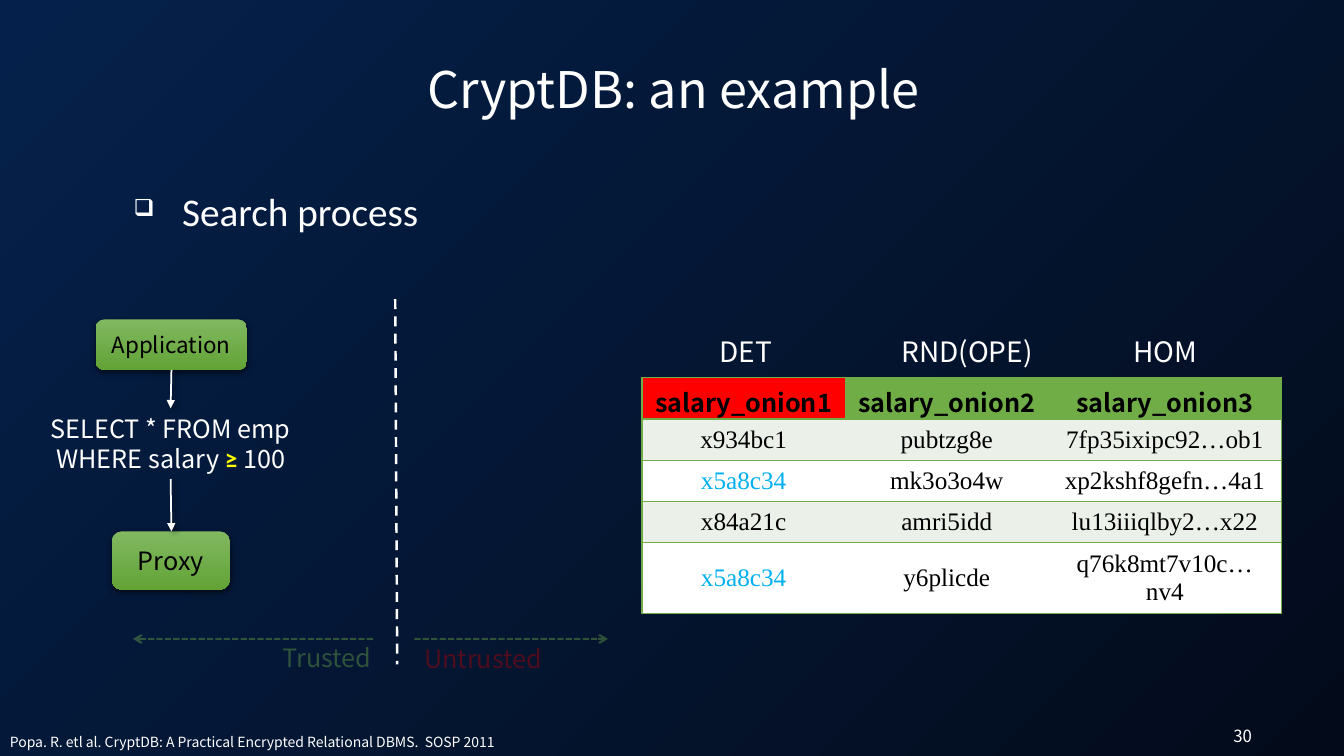
from lxml import etree
from pptx import Presentation
from pptx.dml.color import RGBColor
from pptx.enum.dml import MSO_LINE_DASH_STYLE as DASH
from pptx.enum.shapes import MSO_CONNECTOR_TYPE as CONNECTOR, MSO_SHAPE as SHAPE
from pptx.enum.text import MSO_ANCHOR as ANCHOR, PP_ALIGN as ALIGN
from pptx.oxml.ns import qn
from pptx.util import Cm, Pt

WHITE, BLACK, GREEN, RED, DARK_RED = "FFFFFF", "000000", "70AD47", "FF0000", "C00000"
CYAN, YELLOW, PALE = "00B0F0", "FFFF00", "EBF1E9"
SANS, SERIF, CALIBRI = "Noto Sans CJK SC", "Times New Roman", "Calibri"


def rgb(value):
    return RGBColor.from_string(value)


def sub(parent, tag, **attrs):
    return etree.SubElement(parent, qn(tag), {k: str(v) for k, v in attrs.items()})


def set_alpha(fill, percent):
    color = fill._xPr.find(qn("a:solidFill"))[0]
    sub(color, "a:alpha", val=percent * 1000)


def set_gradient(fill, start, end, angle):
    fill.gradient()
    fill.gradient_angle = angle
    for stop, color, position in zip(fill.gradient_stops, (start, end), (0, 1)):
        stop.color.rgb = rgb(color)
        stop.position = position


def set_shadow(sp, alpha, blur, dist, angle):
    effects = sp._element.spPr.find(qn("a:effectLst"))
    outer = sub(effects, "a:outerShdw", blurRad=Pt(blur), dist=Pt(dist), dir=angle * 60000)
    sub(sub(outer, "a:srgbClr", val=BLACK), "a:alpha", val=alpha * 1000)


class SlideBuilder:
    """Adds styled elements to the current slide."""

    def __init__(self, prs):
        self.s = prs.slides.add_slide(prs.slide_layouts[5])
        set_gradient(self.s.background.fill, "05214B", "030B1B", 315)

    def style(self, r, size, color=WHITE, font=SANS, bold=False, alpha=None):
        r.font.size, r.font.name, r.font.bold = Pt(size), font, bold
        r.font.color.rgb = rgb(color)
        if alpha:
            set_alpha(r.font.fill, alpha)

    def title(self, text, x, y, w, h):
        sp = self.s.shapes.title
        sp.left, sp.top, sp.width, sp.height = Cm(x), Cm(y), Cm(w), Cm(h)
        tf = sp.text_frame
        tf.text = text
        tf.vertical_anchor = ANCHOR.MIDDLE
        tf.paragraphs[0].alignment = ALIGN.CENTER
        self.style(tf.paragraphs[0].runs[0], 36)

    def text(self, text, x, y, w, h, size, align=ALIGN.LEFT, **style):
        sp = self.s.shapes.add_textbox(Cm(x), Cm(y), Cm(w), Cm(h))
        tf = sp.text_frame
        tf.word_wrap = True
        p = tf.paragraphs[0]
        p.text = text
        p.alignment = align
        self.style(p.runs[0], size, **style)
        return p

    def bullet(self, text, x, y, w, h, size):
        p = self.text(text, x, y, w, h, size, font=CALIBRI)
        pPr = p._p.get_or_add_pPr()
        pPr.set("marL", str(Cm(1.22)))
        pPr.set("indent", str(-Cm(1.42)))
        sub(sub(pPr, "a:buClr"), "a:srgbClr", val=WHITE)
        sub(pPr, "a:buSzPct", val=60000)
        sub(pPr, "a:buChar", char="❑")

    def box(self, text, x, y, w, h, size):
        sp = self.s.shapes.add_shape(SHAPE.ROUNDED_RECTANGLE, Cm(x), Cm(y), Cm(w), Cm(h))
        sp.shadow.inherit = False
        set_shadow(sp, 63, 4.5, 1.5, 90)
        set_gradient(sp.fill, "81B861", "62A336", 270)
        sp.line.fill.background()
        tf = sp.text_frame
        tf.text = text
        tf.vertical_anchor = ANCHOR.MIDDLE
        tf.margin_left = tf.margin_right = 0
        tf.paragraphs[0].alignment = ALIGN.CENTER
        self.style(tf.paragraphs[0].runs[0], size, BLACK)

    def line(self, x1, y1, x2, y2, width, color=WHITE, dash=None, head=None, alpha=None):
        sp = self.s.shapes.add_connector(CONNECTOR.STRAIGHT, Cm(x1), Cm(y1), Cm(x2), Cm(y2))
        sp.line.width = Pt(width)
        sp.line.color.rgb = rgb(color)
        if alpha:
            set_alpha(sp.line.fill, alpha)
        if dash:
            sp.line.dash_style = dash
        if head:
            sub(sp.line._get_or_add_ln(), "a:tailEnd", type=head)
        sub(sp._element.spPr, "a:effectLst")
        return sp

    def flow_arrow(self, x1, y1, x2, y2):
        set_shadow(self.line(x1, y1, x2, y2, 1.25, head="triangle"), 40, 4, 3, 45)

    def cell(self, cell, text, fill, sides, **style):
        tcPr = cell._tc.get_or_add_tcPr()
        for side in "LRTB":
            ln = sub(tcPr, f"a:ln{side}", w=Pt(1))
            if side in sides:
                sub(sub(ln, "a:solidFill"), "a:srgbClr", val=GREEN)
            else:
                sub(ln, "a:noFill")
        cell.fill.solid()
        cell.fill.fore_color.rgb = rgb(fill)
        cell.vertical_anchor = ANCHOR.MIDDLE
        p = cell.text_frame.paragraphs[0]
        p.text = text
        p.alignment = ALIGN.CENTER
        self.style(p.runs[0], 18, **style)

    def table(self, rows, x, y, widths, heights):
        frame = self.s.shapes.add_table(len(rows), len(widths), Cm(x), Cm(y),
                                        Cm(sum(widths)), Cm(sum(heights)))
        table = frame.table
        for column, width in zip(table.columns, widths):
            column.width = Cm(width)
        for i, (row, height) in enumerate(zip(rows, heights)):
            table.rows[i].height = Cm(height)
            for j, text in enumerate(row):
                cell = table.cell(i, j)
                sides = "TB" + {0: "L", len(row) - 1: "R"}.get(j, "")
                if i == 0:
                    cell.margin_bottom = 0
                    cell.margin_left = cell.margin_right = Cm(0.1)
                    self.cell(cell, text, GREEN if j else RED, sides, color=BLACK, bold=True)
                else:
                    color = CYAN if text == "x5a8c34" else BLACK
                    self.cell(cell, text, PALE if i % 2 else WHITE, sides,
                              color=color, font=SERIF)


def main():
    prs = Presentation()
    prs.slide_width, prs.slide_height = Cm(33.87), Cm(19.05)
    b = SlideBuilder(prs)
    b.title("CryptDB: an example", 3, 1.32, 27.94, 1.83)
    b.bullet("Search process", 3.12, 4.6, 28.68, 1.45, 28)

    b.table([
        ("salary_onion1", "salary_onion2", "salary_onion3"),
        ("x934bc1", "pubtzg8e", "7fp35ixipc92…ob1"),
        ("x5a8c34", "mk3o3o4w", "xp2kshf8gefn…4a1"),
        ("x84a21c", "amri5idd", "lu13iiiqlby2…x22"),
        ("x5a8c34", "y6plicde", "q76k8mt7v10c…nv4"),
    ], 16.18, 9.52, (5.12, 5.12, 5.87), (1.04,) * 4 + (1.78,))
    for text, x, w in (("DET", 16.81, 3.96), ("RND(OPE)", 22.4, 3.94), ("HOM", 27.99, 2.74)):
        b.text(text, x, 8.31, w, 1.12, 20, ALIGN.CENTER)

    query = b.text("SELECT * FROM emp WHERE salary ", 0.84, 10.29, 6.93, 1.8, 18, ALIGN.CENTER)
    for text, style in (("≥ ", dict(color=YELLOW, font=CALIBRI, bold=True)), ("100", {})):
        r = query.add_run()
        r.text = text
        b.style(r, 18, **style)
    b.box("Application", 2.41, 8.05, 3.81, 1.27, 16)
    b.box("Proxy", 2.82, 13.39, 2.97, 1.47, 18)
    b.flow_arrow(4.32, 9.32, 4.3, 10.29)
    b.flow_arrow(4.3, 12.07, 4.32, 13.39)

    b.line(9.96, 7.54, 10.01, 16.74, 1.75, dash=DASH.DASH)
    for x1, x2 in ((10.44, 15.32), (9.4, 3.35)):
        b.line(x1, 16.1, x2, 16.1, 1.5, GREEN, DASH.SQUARE_DOT, "arrow", 40)
    b.text("Trusted", 5.11, 16.05, 4.5, 1.02, 18, ALIGN.RIGHT, color=GREEN, alpha=40)
    b.text("Untrusted", 10.44, 16.08, 4.5, 1.02, 18, color=DARK_RED, alpha=40)

    b.text("Popa. R. etl al. CryptDB: A Practical Encrypted Relational DBMS.  SOSP 2011",
           0, 18.36, 16.99, 0.69, 10)
    b.text("30", 29.11, 18.16, 2.69, 0.76, 12, ALIGN.RIGHT)
    prs.save("out.pptx")


if __name__ == "__main__":
    main()
